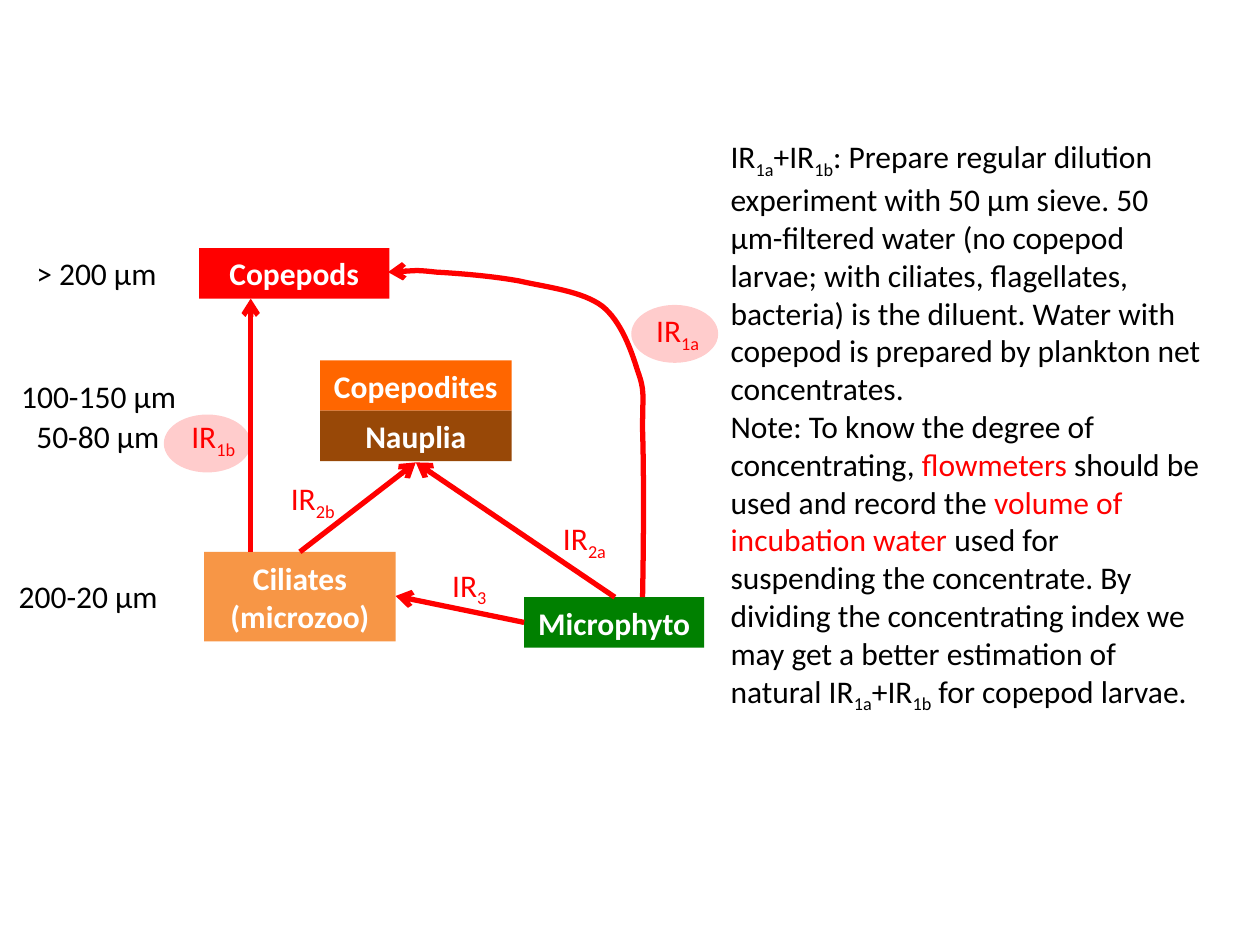
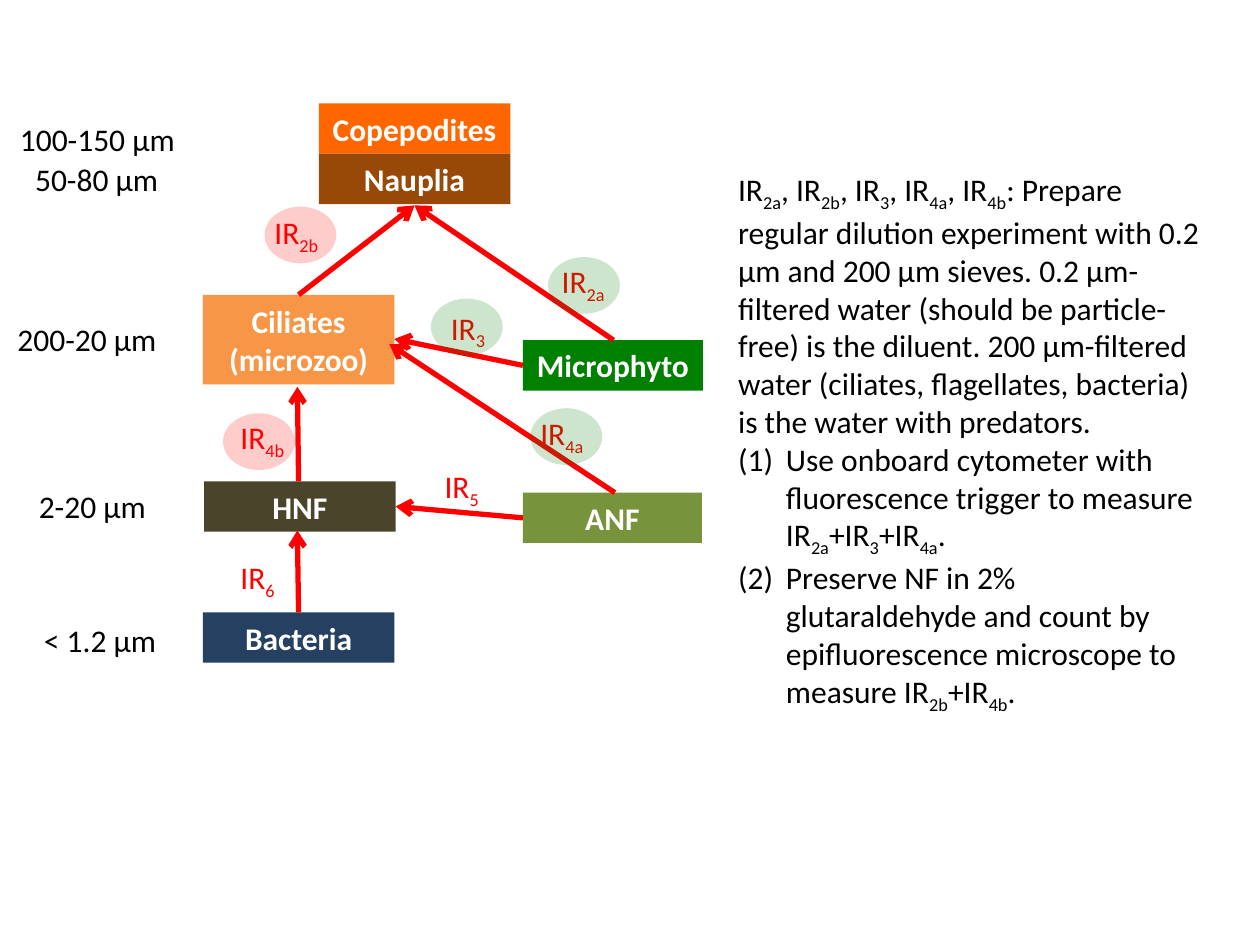
import pptx
import pptx.dml.color
import pptx.enum.shapes
import pptx.enum.text
import pptx.oxml.ns
import pptx.util
from lxml import etree

Inches = pptx.util.Inches
qn = pptx.oxml.ns.qn
SHAPE = pptx.enum.shapes.MSO_SHAPE
ALIGN = pptx.enum.text.PP_ALIGN

BLACK, WHITE, RED, GREEN = "000000", "FFFFFF", "FF0000", "008000"
ROW = 0.4       # height of one line of text with its insets
BOX = 1.52      # usual width of a food web box
INDENT = 0.38   # hanging indent of numbered steps


def color(hex_code):
    """Turn a hex string into a colour."""
    return pptx.dml.color.RGBColor.from_string(hex_code)


def write(frame, paragraphs, ink, wrap=False, align=ALIGN.LEFT, bold=False):
    """Write paragraphs whose runs are split by |; _ marks subscript, ! red, # a numbered step."""
    frame.word_wrap = wrap
    for index, text in enumerate(paragraphs):
        paragraph = frame.paragraphs[0] if index == 0 else frame.add_paragraph()
        paragraph.alignment = align
        if text.startswith("#"):
            props = paragraph._p.get_or_add_pPr()
            props.set("marL", str(Inches(INDENT)))
            props.set("indent", str(-Inches(INDENT)))
            etree.SubElement(props, qn("a:buAutoNum"), type="arabicParenBoth")
            text = text[1:]
        for piece in text.split("|"):
            run = paragraph.add_run()
            run.text = piece.lstrip("_!")
            font_format = {"name": "Calibri", "size": pptx.util.Pt(18), "bold": bold}
            for key, value in font_format.items():
                setattr(run.font, key, value)
            run.font.color.rgb = color(RED if piece.startswith("!") else ink)
            if piece.startswith("_"):
                run._r.get_or_add_rPr().set("baseline", "-25000")


# The part of the food web that both slides show, placed as on the first slide.
shared_boxes = [  # text, left, top, width, fill
    ("Copepodites", 2.54, 2.86, BOX, "FF6600"),
    ("Nauplia", 2.54, 3.26, BOX, "984807"),
    ("Ciliates\n(microzoo)", 1.62, 4.38, BOX, "F79646"),
    ("Microphyto", 4.16, 4.74, 1.43, GREEN),
]
shared_sizes = [  # text, left, top, width
    ("100-150 μm", 0.07, 2.94, 1.44),
    ("50-80 μm", 0.19, 3.26, 1.19),
    ("200-20 μm", 0.05, 4.53, 1.32),
]
shared_arrows = [  # from x, y, to x, y
    (2.38, 4.38, 3.3, 3.67),
    (4.88, 4.74, 3.3, 3.67),
    (4.16, 4.94, 3.14, 4.73),
]
shared_rates = [("2a", 4.37, 4.07), ("3", 3.49, 4.44)]  # subscript, left, top

slides = [
    {
        "shift": (0, 0),
        "boxes": [("Copepods", 1.58, 1.97, 1.51, RED)],
        "sizes": [("> 200 μm", 0.19, 1.97, 1.17)],
        "arrows": [(1.99, 4.38, 1.99, 2.37)],
        "rates": [("1b", 1.42, 3.26), ("1a", 5.11, 2.42), ("2b", 2.21, 3.75)],
        "highlight_size": (0.69, 0.46),
        "highlights": [(5.01, 2.42, RED), (1.3, 3.29, RED)],
        # start point, then two control points and an end point for each bend
        "curve": [
            (5.1, 4.74),
            (5.11, 4.23), (5.11, 3.71), (5.1, 3.41),
            (5.1, 3.11), (5.12, 3.11), (5.06, 2.94),
            (5.01, 2.78), (4.93, 2.55), (4.78, 2.43),
            (4.62, 2.31), (4.34, 2.28), (4.12, 2.23),
            (3.9, 2.19), (3.64, 2.17), (3.46, 2.16),
            (3.29, 2.14), (3.08, 2.16), (3.08, 2.16),
        ],
        "method_at": (5.7, 1.04, 3.96, 4.64),
        "method": [
            "IR|_1a|+IR|_1b|: Prepare regular dilution experiment with 50 μm sieve. "
            "50 μm-filtered water (no copepod larvae; with ciliates, flagellates, "
            "bacteria) is the diluent. Water with copepod is prepared by plankton "
            "net concentrates.",
            "Note: To know the degree of concentrating, |!flowmeters| should be used "
            "and record the |!volume of incubation water |used for suspending the "
            "concentrate. By dividing the concentrating index we may get a better "
            "estimation of natural IR|_1a|+IR|_1b| for copepod larvae.",
        ],
    },
    {
        "shift": (-0.01, -2.04),
        "boxes": [
            ("HNF", 1.62, 3.82, BOX, "4A452A"),
            ("ANF", 4.15, 3.91, 1.42, "77933C"),
            ("Bacteria", 1.61, 4.86, BOX, "254061"),
        ],
        "sizes": [("2-20 μm", 0.21, 3.82, 1.06), ("< 1.2 μm", 0.25, 4.88, 1.1)],
        "arrows": [
            (2.37, 3.82, 2.36, 3.07),
            (4.15, 4.11, 3.14, 4.02),
            (2.37, 4.86, 2.36, 4.21),
            (4.88, 3.91, 3.09, 2.73),
        ],
        "rates": [("2b", 2.08, 1.64), ("4a", 4.19, 3.24), ("4b", 1.81, 3.27),
                  ("5", 3.43, 3.66), ("6", 1.81, 4.38)],
        "highlight_size": (0.57, 0.45),
        "highlights": [(4.35, 2.04, GREEN), (2.1, 1.64, RED), (3.42, 2.37, GREEN),
                       (4.21, 3.24, GREEN), (1.77, 3.28, RED)],
        "curve": [],
        "method_at": (5.76, 1.3, 3.97, 4.34),
        "method": [
            "IR|_2a|, IR|_2b|, IR|_3|, IR|_4a|, IR|_4b|: Prepare regular dilution "
            "experiment with 0.2 μm and 200 μm sieves. 0.2 μm-filtered water (should "
            "be particle-free) is the diluent. 200 μm-filtered water (ciliates, "
            "flagellates, bacteria) is the water with predators.",
            "#Use onboard cytometer with fluorescence trigger to measure "
            "IR|_2a|+IR|_3|+IR|_4a|.",
            "#Preserve NF in 2% glutaraldehyde and count by epifluorescence "
            "microscope to measure IR|_2b|+IR|_4b|.",
        ],
    },
]

deck = pptx.Presentation()
deck.slide_width, deck.slide_height = Inches(10), Inches(7.5)

for content in slides:
    shapes = deck.slides.add_slide(deck.slide_layouts[6]).shapes
    dx, dy = content["shift"]

    method = shapes.add_textbox(*map(Inches, content["method_at"]))
    write(method.text_frame, content["method"], BLACK, wrap=True)

    boxes = [(t, x + dx, y + dy, w, c) for t, x, y, w, c in shared_boxes]
    for text, left, top, width, fill in boxes + content["boxes"]:
        lines = text.split("\n")
        height = ROW if len(lines) == 1 else 0.71
        box = shapes.add_shape(SHAPE.RECTANGLE, *map(Inches, (left, top, width, height)))
        box.shadow.inherit = False
        box.fill.solid()
        box.fill.fore_color.rgb = color(fill)
        box.line.fill.background()
        write(box.text_frame, lines, WHITE, align=ALIGN.CENTER, bold=True)

    # Feeding arrows, straight and curved
    feeding = []
    arrows = [(x1 + dx, y1 + dy, x2 + dx, y2 + dy) for x1, y1, x2, y2 in shared_arrows]
    for ends in arrows + content["arrows"]:
        arrow = shapes.add_connector(
            pptx.enum.shapes.MSO_CONNECTOR.STRAIGHT, *map(Inches, ends))
        feeding.append(arrow)
    if content["curve"]:
        start, *bends = [(Inches(x), Inches(y)) for x, y in content["curve"]]
        builder = shapes.build_freeform(*start)
        builder.add_line_segments(bends, close=False)
        curve = builder.convert_to_shape()
        curve.fill.background()
        # Join each three straight segments into one Bezier bend
        segments = list(curve._element.iter(qn("a:lnTo")))
        for first in range(0, len(segments), 3):
            bend = etree.Element(qn("a:cubicBezTo"))
            segments[first].addprevious(bend)
            for segment in segments[first:first + 3]:
                bend.append(segment[0])
                segment.getparent().remove(segment)
        feeding.append(curve)
    for arrow in feeding:
        arrow.line.color.rgb = color(RED)
        arrow.line.width = pptx.util.Pt(3)
        properties = arrow._element.spPr
        etree.SubElement(properties.find(qn("a:ln")), qn("a:tailEnd"), type="arrow")
        etree.SubElement(properties, qn("a:effectLst"))

    sizes = [(t, x + dx, y + dy, w) for t, x, y, w in shared_sizes]
    for text, left, top, width in sizes + content["sizes"]:
        size = shapes.add_textbox(*map(Inches, (left, top, width, ROW)))
        write(size.text_frame, [text], BLACK)

    rates = [(s, x + dx, y + dy) for s, x, y in shared_rates]
    for subscript, left, top in rates + content["rates"]:
        width = 0.41 + 0.08 * len(subscript)
        rate = shapes.add_textbox(*map(Inches, (left, top, width, ROW)))
        write(rate.text_frame, ["IR|_" + subscript], RED)

    for left, top, fill in content["highlights"]:
        highlight = shapes.add_shape(
            SHAPE.OVAL, *map(Inches, (left, top, *content["highlight_size"])))
        highlight.shadow.inherit = False
        highlight.fill.solid()
        highlight.fill.fore_color.rgb = color(fill)
        highlight.line.fill.background()
        tint = highlight._element.spPr.find(qn("a:solidFill"))[0]
        etree.SubElement(tint, qn("a:alpha"), val="20000")

deck.save("out.pptx")
